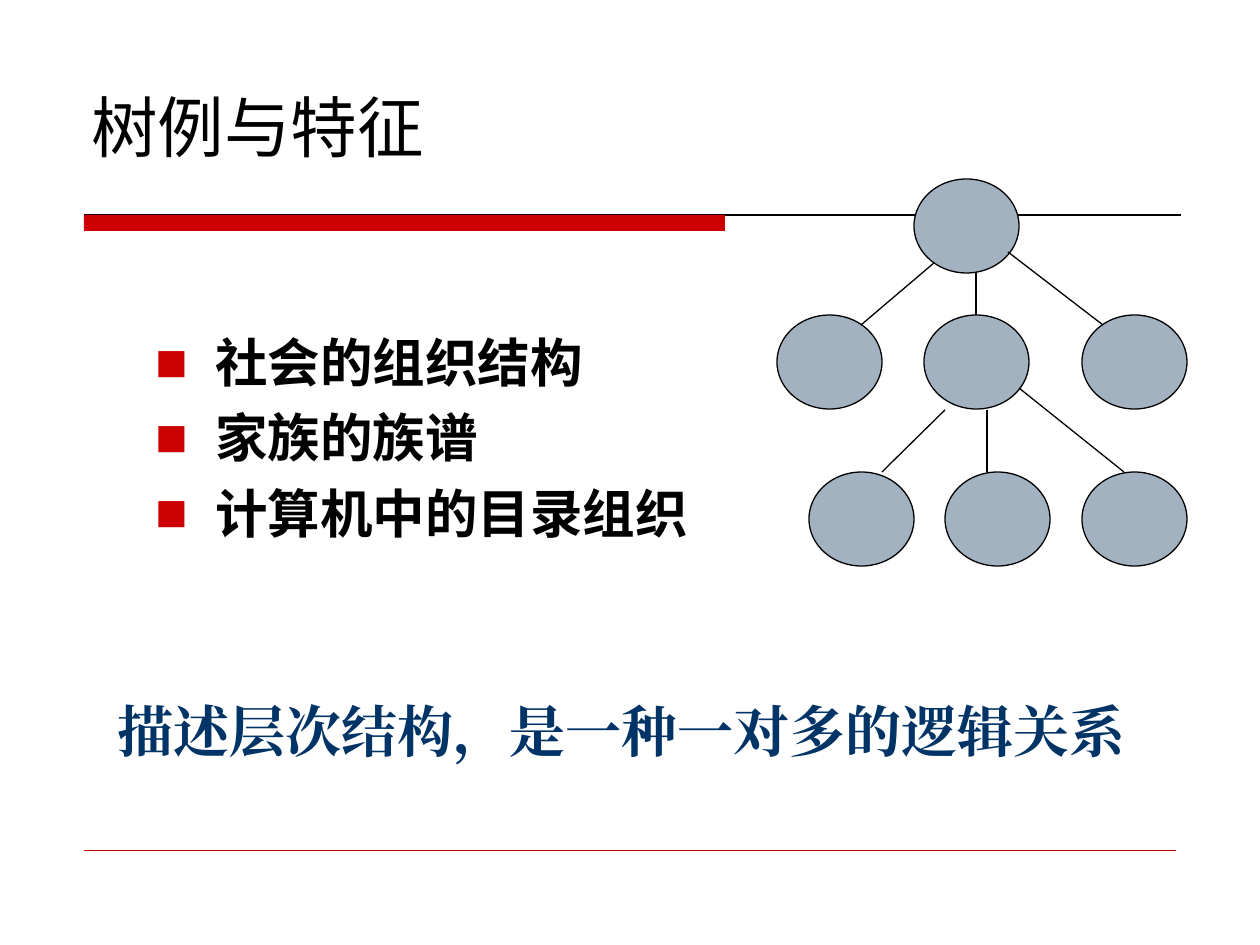
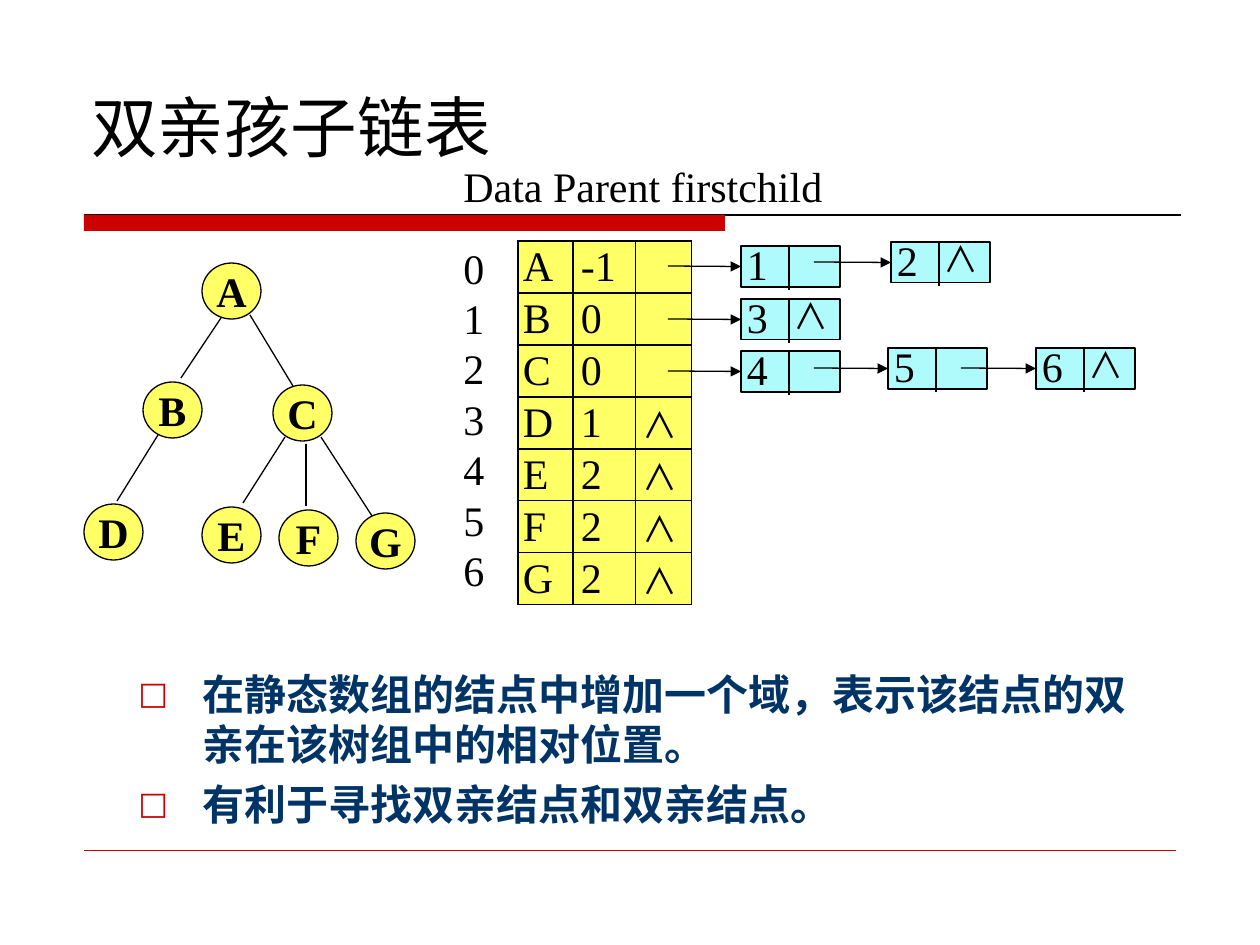
from lxml.etree import SubElement
from pptx import Presentation
from pptx.dml.color import RGBColor
from pptx.enum.shapes import MSO_CONNECTOR, MSO_SHAPE
from pptx.enum.text import MSO_ANCHOR, PP_ALIGN
from pptx.oxml.ns import qn
from pptx.util import Inches, Pt

PX = 7257
COLORS = {"red": "CC0000", "black": "000000", "navy": "003366",
          "gray": "A3B2C1", "yellow": "FFFF66", "cyan": "AFFBFB"}
RGB = {name: RGBColor.from_string(value) for name, value in COLORS.items()}
SANS, SERIF, CJK = "DejaVu Sans", "Times New Roman", "Noto Sans CJK SC"


def put_text(tf, lines, size, font=SERIF, color="black", bold=False,
             align=PP_ALIGN.LEFT, bullet=None, bullet_size=70, indent=(0, 0)):
    tf.word_wrap = True
    tf.text = "\n".join(lines)
    for i, p in enumerate(tf.paragraphs):
        p.alignment = align
        if bullet:
            pPr = p._p.get_or_add_pPr()
            pPr.set("marL", str(indent[0] * PX))
            pPr.set("indent", str(indent[1] * PX))
            clr = SubElement(pPr, qn("a:buClr"))
            SubElement(clr, qn("a:srgbClr"), val=COLORS["red"])
            SubElement(pPr, qn("a:buSzPct"), val=str(bullet_size * 1000))
            SubElement(pPr, qn("a:buFont"), typeface=SANS)
            SubElement(pPr, qn("a:buChar"), char=bullet)
            if i:
                p.space_before = Pt(round(size * 0.233, 1))
        for r in p.runs:
            r.font.size = Pt(size)
            r.font.name = font
            r.font.bold = bold
            r.font.color.rgb = RGB[color]
            SubElement(r._r.get_or_add_rPr(), qn("a:ea"), typeface=font)


def add_line(s, x1, y1, x2, y2, color="black", width=0.75, arrow=False):
    line = s.shapes.add_connector(MSO_CONNECTOR.STRAIGHT,
                                  x1 * PX, y1 * PX, x2 * PX, y2 * PX)
    line.line.color.rgb = RGB[color]
    line.line.width = Pt(width)
    if arrow:
        SubElement(line.line._get_or_add_ln(), qn("a:tailEnd"), type="triangle")
    SubElement(line._element.spPr, qn("a:effectLst"))
    return line


prs = Presentation()
prs.slide_width, prs.slide_height = Inches(10), Inches(7.5)

slides = []
for title in ["树例与特征", "双亲孩子链表"]:
    s = prs.slides.add_slide(prs.slide_layouts[6])
    slides.append(s)
    add_line(s, 84, 215, 1181, 215)
    bar = s.shapes.add_shape(MSO_SHAPE.RECTANGLE, 84 * PX, 215 * PX, 641 * PX, 16 * PX)
    bar.shadow.inherit = False
    bar.fill.solid()
    bar.fill.fore_color.rgb = RGB["red"]
    bar.line.fill.background()
    add_line(s, 84, 850, 1176, 850, "red", 0.25)
    tf = s.shapes.add_textbox(79 * PX, 42 * PX, 1103 * PX, 168 * PX).text_frame
    tf.vertical_anchor = MSO_ANCHOR.MIDDLE
    put_text(tf, [title], 38, SANS)

s = slides[0]
tf = s.shapes.add_textbox(78 * PX, 324 * PX, 1092 * PX, 328 * PX).text_frame
put_text(tf, ["社会的组织结构", "家族的族谱", "计算机中的目录组织"], 30, SANS,
         bold=True, bullet="■", bullet_size=65, indent=(125, -60))

tree_nodes = [(914, 179), (777, 315), (924, 315), (1082, 315),
              (809, 472), (945, 472), (1082, 472)]
for x, y in tree_nodes:
    sp = s.shapes.add_shape(MSO_SHAPE.OVAL, x * PX, y * PX, 105 * PX, 94 * PX)
    sp.shadow.inherit = False
    sp.fill.solid()
    sp.fill.fore_color.rgb = RGB["gray"]
    sp.line.color.rgb = RGB["black"]
    sp.line.width = Pt(0.75)

tree_edges = [(976, 273, 976, 315), (934, 263, 861, 325), (1008, 252, 1103, 325),
              (987, 410, 987, 472), (945, 410, 882, 472), (1019, 388, 1124, 472)]
for edge in tree_edges:
    add_line(s, *edge)

tf = s.shapes.add_textbox(105 * PX, 690 * PX, 1101 * PX, 79 * PX).text_frame
put_text(tf, ["描述层次结构，是一种一对多的逻辑关系"], 32, SERIF, "navy", True)

s = slides[1]
tf = s.shapes.add_textbox(451 * PX, 154 * PX, 588 * PX, 78 * PX).text_frame
put_text(tf, ["Data Parent firstchild"], 24)

tf = s.shapes.add_textbox(451 * PX, 236 * PX, 93 * PX, 399 * PX).text_frame
put_text(tf, [str(i) for i in range(7)], 24)
for p in tf.paragraphs:
    p.line_spacing = Pt(28.8)

rows = [("A", "-1", ""), ("B", "0", ""), ("C", "0", ""), ("D", "1", "∧"),
        ("E", "2", "∧"), ("F", "2", "∧"), ("G", "2", "∧")]
frame = s.shapes.add_table(7, 3, 518 * PX, 241 * PX, 174 * PX, 364 * PX)
table = frame.table
table.first_row = table.horz_banding = False
for column, width in zip(table.columns, [55, 63, 56]):
    column.width = width * PX
for i, row in enumerate(rows):
    table.rows[i].height = 52 * PX
    for j, (value, margin) in enumerate(zip(row, [5, 8, 7])):
        cell = table.cell(i, j)
        cell.margin_left = margin * PX
        cell.margin_right = cell.margin_top = cell.margin_bottom = 0
        cell.vertical_anchor = MSO_ANCHOR.MIDDLE
        put_text(cell.text_frame, [value], 20 if j == 2 else 24, CJK if j == 2 else SERIF)
        tcPr = cell._tc.get_or_add_tcPr()
        for side in ["a:lnL", "a:lnR", "a:lnT", "a:lnB"]:
            ln = SubElement(tcPr, qn(side), w=str(Pt(0.75)))
            fill = SubElement(ln, qn("a:solidFill"))
            SubElement(fill, qn("a:srgbClr"), val=COLORS["black"])
        cell.fill.solid()
        cell.fill.fore_color.rgb = RGB["yellow"]

child_lists = [[(741, 246, "1"), (891, 242, "2")],
               [(741, 299, "3")],
               [(741, 351, "4"), (888, 348, "5"), (1036, 348, "6")]]
for children in child_lists:
    start = 668
    for x, y, child in children:
        sp = s.shapes.add_shape(MSO_SHAPE.RECTANGLE, x * PX, y * PX, 99 * PX, 41 * PX)
        sp.shadow.inherit = False
        sp.fill.solid()
        sp.fill.fore_color.rgb = RGB["cyan"]
        sp.line.color.rgb = RGB["black"]
        sp.line.width = Pt(0.75)
        tf = sp.text_frame
        tf.margin_left, tf.margin_bottom = 6 * PX, 6 * PX
        tf.margin_right = tf.margin_top = 0
        tf.vertical_anchor = MSO_ANCHOR.MIDDLE
        put_text(tf, [child], 24)
        add_line(s, x + 48, y, x + 48, y + 44)
        arrow = add_line(s, start, y + 20, x, y + 20, arrow=True)
        arrow.end_connect(sp, 1)
        start = x + 73
    tf = s.shapes.add_textbox((x + 40) * PX, (y - 11) * PX, 100 * PX, 77 * PX).text_frame
    put_text(tf, ["∧"], 20, CJK)

node_edges = [(223, 315, 181, 378), (250, 315, 293, 386), (158, 435, 117, 501),
              (285, 437, 243, 503), (306, 444, 306, 506), (321, 437, 374, 519)]
for edge in node_edges:
    add_line(s, *edge)

nodes = [("A", 202, 263), ("B", 143, 382), ("C", 273, 385), ("D", 84, 504),
         ("E", 202, 507), ("F", 279, 510), ("G", 356, 513)]
for name, x, y in nodes:
    sp = s.shapes.add_shape(MSO_SHAPE.OVAL, x * PX, y * PX, 59 * PX, 56 * PX)
    sp.shadow.inherit = False
    sp.fill.solid()
    sp.fill.fore_color.rgb = RGB["yellow"]
    sp.line.color.rgb = RGB["black"]
    sp.line.width = Pt(0.75)
    tf = sp.text_frame
    tf.margin_left = tf.margin_right = tf.margin_top = tf.margin_bottom = 0
    tf.vertical_anchor = MSO_ANCHOR.MIDDLE
    put_text(tf, [name], 24, bold=True, align=PP_ALIGN.CENTER)

tf = s.shapes.add_textbox(126 * PX, 662 * PX, 1053 * PX, 273 * PX).text_frame
put_text(tf, ["在静态数组的结点中增加一个域，表示该结点的双亲在该树组中的相对位置。",
              "有利于寻找双亲结点和双亲结点。"], 24, SANS, "navy", True,
         bullet="□", bullet_size=75, indent=(64, -64))

prs.save("out.pptx")
